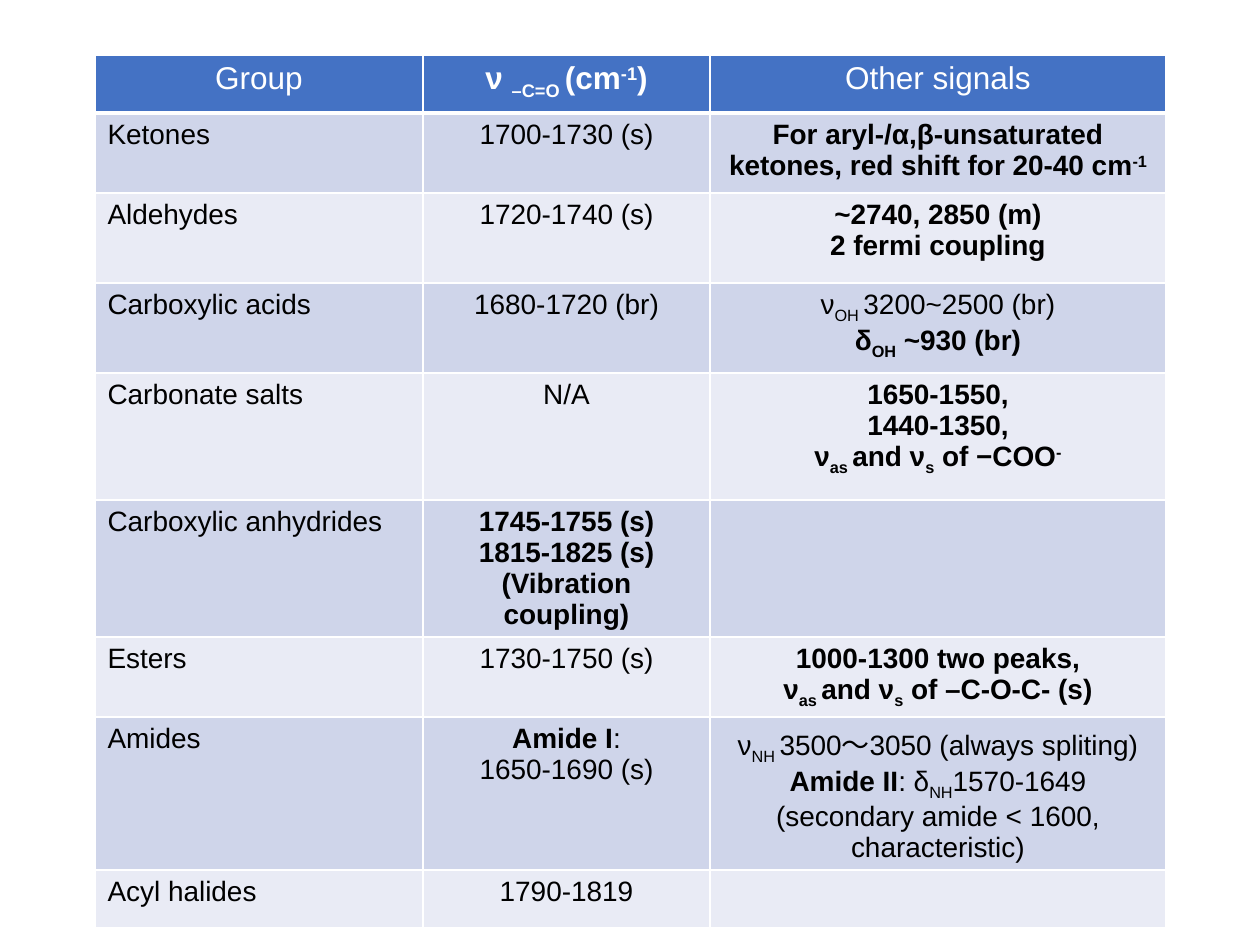
from dataclasses import dataclass

from lxml import etree
from pptx import Presentation, util as u
from pptx.dml.color import RGBColor
from pptx.enum import text
from pptx.oxml import ns

PX_PER_INCH = 126
SLIDE_WIDTH, SLIDE_HEIGHT = 1260, 945
TABLE_LEFT, TABLE_TOP = 95, 55
COLUMN_WIDTHS = (328, 287, 456)
ROW_HEIGHTS = (58, 80, 90, 90, 127, 131, 80, 147, 58)

WHITE = RGBColor(0xFF, 0xFF, 0xFF)
BLACK = RGBColor(0x00, 0x00, 0x00)
HEADER_BLUE = RGBColor(0x44, 0x72, 0xC4)
BAND_DARK = RGBColor(0xCF, 0xD5, 0xEA)
BAND_LIGHT = RGBColor(0xE9, 0xEB, 0xF5)
FONT = "Arial"


@dataclass(frozen=True)
class Run:
    text: str
    bold: bool = False
    baseline: int = 0


Paragraph = tuple[Run, ...]
Cell = tuple[Paragraph, ...]


@dataclass(frozen=True)
class CellStyle:
    fill: RGBColor
    color: RGBColor
    size: int
    bottom_border: int


def px(length: int) -> u.Emu:
    return u.Emu(round(length * u.Inches(1) / PX_PER_INCH))


def bold(content: str) -> Run:
    return Run(content, bold=True)


def sub(content: str, heavy: bool = False) -> Run:
    return Run(content, heavy, -25)


def sup(content: str) -> Run:
    return Run(content, True, 30)


def lines(*contents: str, heavy: bool = False) -> Cell:
    """Return a cell with one uniform run in each paragraph."""
    return tuple((Run(content, heavy),) for content in contents)


STRETCHES: Paragraph = (bold("ν"), sub("as ", True), bold("and ν"), sub("s", True))

ROWS: tuple[tuple[Cell, Cell, Cell], ...] = (
    (
        lines("Group"),
        ((bold("ν "), sub("–C=O ", True), bold("(cm"), sup("-1"), bold(")")),),
        lines("Other signals"),
    ),
    (
        lines("Ketones"),
        lines("1700-1730 (s)"),
        ((bold("For aryl-/α,β-unsaturated ketones, red shift for 20-40 cm"), sup("-1")),),
    ),
    (
        lines("Aldehydes"),
        lines("1720-1740 (s)"),
        lines("~2740, 2850 (m)", "2 fermi coupling", heavy=True),
    ),
    (
        lines("Carboxylic acids"),
        lines("1680-1720 (br)"),
        (
            (Run("ν"), sub("OH "), Run("3200~2500 (br)")),
            (bold("δ"), sub("OH", True), bold(" ~930 (br)")),
        ),
    ),
    (
        lines("Carbonate salts"),
        lines("N/A"),
        lines("1650-1550,", "1440-1350,", heavy=True)
        + ((*STRETCHES, bold(" of −COO"), sup("-")),),
    ),
    (
        lines("Carboxylic anhydrides"),
        lines("1745-1755 (s)", "1815-1825 (s)", "(Vibration coupling)", heavy=True),
        (),
    ),
    (
        lines("Esters"),
        lines("1730-1750 (s)"),
        lines("1000-1300 two peaks,", heavy=True)
        + ((*STRETCHES, bold(" of –C-O-C- (s)")),),
    ),
    (
        lines("Amides"),
        ((bold("Amide I"), Run(":")), (Run("1650-1690 (s)"),)),
        (
            (Run("ν"), sub("NH "), Run("3500～3050 (always spliting)")),
            (bold("Amide II"), Run(": δ"), sub("NH"), Run("1570-1649")),
            (Run("(secondary amide < 1600, characteristic)"),),
        ),
    ),
    (lines("Acyl halides"), lines("1790-1819"), ()),
)


def style_for(row: int) -> CellStyle:
    if row == 0:
        return CellStyle(HEADER_BLUE, WHITE, 18, 3)
    return CellStyle(BAND_DARK if row % 2 else BAND_LIGHT, BLACK, 16, 1)


def set_borders(cell, bottom: int) -> None:
    """Add white borders; call before the fill, which must follow them in the XML."""
    properties = cell._tc.get_or_add_tcPr()
    for side, points in (("L", 1), ("R", 1), ("T", 1), ("B", bottom)):
        line = etree.SubElement(properties, ns.qn(f"a:ln{side}"), w=str(u.Pt(points)))
        fill = etree.SubElement(line, ns.qn("a:solidFill"))
        etree.SubElement(fill, ns.qn("a:srgbClr"), val=str(WHITE))


def add_run(paragraph, part: Run, style: CellStyle) -> None:
    run = paragraph.add_run()
    run.text = part.text
    font = run.font
    font.name, font.size, font.bold = FONT, u.Pt(style.size), part.bold
    font.color.rgb = style.color
    if part.baseline:
        run._r.get_or_add_rPr().set("baseline", str(part.baseline * 1000))


def fill_cell(cell, content: Cell, style: CellStyle, centered: bool) -> None:
    set_borders(cell, style.bottom_border)
    cell.fill.solid()
    cell.fill.fore_color.rgb = style.fill
    frame = cell.text_frame
    for index, parts in enumerate(content):
        paragraph = frame.add_paragraph() if index else frame.paragraphs[0]
        paragraph.alignment = text.PP_ALIGN.CENTER if centered else text.PP_ALIGN.LEFT
        for part in parts:
            add_run(paragraph, part, style)


def add_signal_table(slide) -> None:
    table = slide.shapes.add_table(
        len(ROWS), len(COLUMN_WIDTHS), px(TABLE_LEFT), px(TABLE_TOP),
        px(sum(COLUMN_WIDTHS)), px(sum(ROW_HEIGHTS)),
    ).table
    for column, width in zip(table.columns, COLUMN_WIDTHS):
        column.width = px(width)
    for row, height in zip(table.rows, ROW_HEIGHTS):
        row.height = px(height)
    for row, contents in enumerate(ROWS):
        for column, content in enumerate(contents):
            centered = row == 0 or column > 0
            fill_cell(table.cell(row, column), content, style_for(row), centered)


def main() -> None:
    presentation = Presentation()
    presentation.slide_width = px(SLIDE_WIDTH)
    presentation.slide_height = px(SLIDE_HEIGHT)
    blank_layout = presentation.slide_layouts[6]
    add_signal_table(presentation.slides.add_slide(blank_layout))
    presentation.save("out.pptx")


if __name__ == "__main__":
    main()
